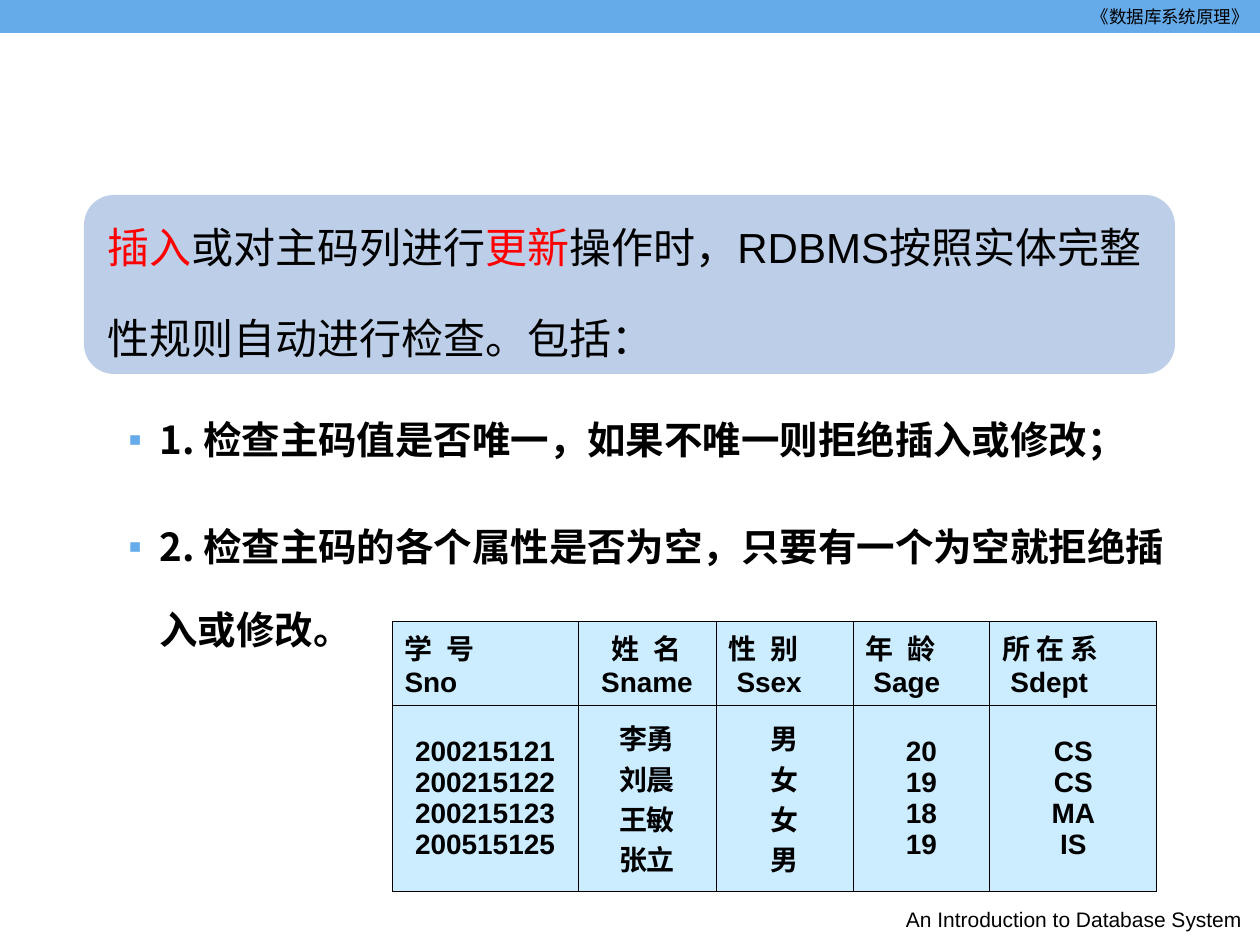
from lxml import etree
from pptx import Presentation
from pptx.dml.color import RGBColor
from pptx.enum.shapes import MSO_SHAPE
from pptx.enum.text import MSO_ANCHOR, PP_ALIGN
from pptx.oxml.ns import qn
from pptx.util import Emu, Pt

RECT, ROUNDED = MSO_SHAPE.RECTANGLE, MSO_SHAPE.ROUNDED_RECTANGLE
LEFT, CENTER, RIGHT = PP_ALIGN.LEFT, PP_ALIGN.CENTER, PP_ALIGN.RIGHT
MIDDLE = MSO_ANCHOR.MIDDLE

PX_PER_INCH = 126
LATIN, CJK = "Arial", "Noto Sans CJK SC"
COLORS = {"bar": "65AAE9", "panel": "7DA0D3", "cell": "CCECFF",
          "text": "000000", "accent": "FF0000"}

RULE = [("插入", "accent"), ("或对主码列进行", "text"), ("更新", "accent"),
        ("操作时，RDBMS按照实体完整性规则自动进行检查。包括：", "text")]
CHECKS = ["1. 检查主码值是否唯一，如果不唯一则拒绝插入或修改；",
          "2. 检查主码的各个属性是否为空，只要有一个为空就拒绝插入或修改。"]
# Chinese name, field name, width, heading alignment, field indent, tracking, values
COLUMNS = [
    ("学 号", "Sno", 186, LEFT, 0, 220,
     ["200215121", "200215122", "200215123", "200515125"]),
    ("姓 名", "Sname", 138, CENTER, 0, 220, ["李勇", "刘晨", "王敏", "张立"]),
    ("性 别", "Ssex", 137, LEFT, 8, 220, ["男", "女", "女", "男"]),
    ("年 龄", "Sage", 137, LEFT, 8, 220, ["20", "19", "18", "19"]),
    ("所 在 系", "Sdept", 167, LEFT, 8, 0, ["CS", "CS", "MA", "IS"]),
]
ROW_HEIGHTS = (84, 186)


def emu(px):
    return Emu(round(px * 914400 / PX_PER_INCH))


def rgb(name):
    return RGBColor.from_string(COLORS[name])


def add_xml(parent, tag, **attributes):
    child = etree.SubElement(parent, qn(tag))
    for key, value in attributes.items():
        child.set(key, str(value))
    return child


class SlideBuilder:
    def __init__(self, slide):
        self.slide = slide

    def style_run(self, run, size, color="text", bold=False, font=LATIN):
        run.font.size = Pt(size)
        run.font.bold = bold
        run.font.color.rgb = rgb(color)
        run.font.name = font
        add_xml(run.font._element, "a:ea", typeface=CJK)

    def panel(self, kind, left, top, width, height, color, opacity=100):
        shape = self.slide.shapes.add_shape(
            kind, emu(left), emu(top), emu(width), emu(height))
        shape.shadow.inherit = False
        shape.fill.solid()
        shape.fill.fore_color.rgb = rgb(color)
        shape.line.fill.background()
        if opacity < 100:
            tint = shape.fill._xPr.find(qn("a:solidFill"))[0]
            add_xml(tint, "a:alpha", val=opacity * 1000)

    def text_frame(self, left, top, width, height):
        box = self.slide.shapes.add_textbox(
            emu(left), emu(top), emu(width), emu(height))
        box.text_frame.word_wrap = True
        return box.text_frame

    def paragraph(self, left, top, width, height, parts, size,
                  align=LEFT, spacing=1.0):
        """Add a one-paragraph box from (text, colour) parts."""
        line = self.text_frame(left, top, width, height).paragraphs[0]
        line.alignment = align
        line.line_spacing = spacing
        for text, color in parts:
            run = line.add_run()
            run.text = text
            self.style_run(run, size, color)

    def bullets(self, left, top, width, height, items):
        frame = self.text_frame(left, top, width, height)
        frame.text = "\n".join(items)
        for index, item in enumerate(frame.paragraphs):
            item.line_spacing = 1.8
            if index:
                item.space_before = Pt(13.8)
            props = item._p.get_or_add_pPr()
            props.set("marL", str(emu(63)))
            props.set("indent", str(-emu(31)))
            add_xml(add_xml(props, "a:buClr"), "a:srgbClr", val=COLORS["bar"])
            add_xml(props, "a:buFont", typeface=LATIN)
            add_xml(props, "a:buChar", char="▪")
            self.style_run(item.runs[0], 22, bold=True, font=CJK)

    def cell(self, cell, lines, align):
        props = cell._tc.get_or_add_tcPr()
        for side in ("a:lnL", "a:lnR", "a:lnT", "a:lnB"):
            border = add_xml(props, side, w=Pt(0.45))
            add_xml(add_xml(border, "a:solidFill"), "a:srgbClr",
                    val=COLORS["text"])
        cell.fill.solid()
        cell.fill.fore_color.rgb = rgb("cell")
        cell.vertical_anchor = MIDDLE
        cell.text_frame.text = "\n".join(lines)
        for line in cell.text_frame.paragraphs:
            line.alignment = align
            self.style_run(line.runs[0], 16, bold=True)

    def student_table(self, left, top, columns, heights):
        width = sum(column[2] for column in columns)
        table = self.slide.shapes.add_table(
            len(heights), len(columns), emu(left), emu(top),
            emu(width), emu(sum(heights))).table
        for row, height in zip(table.rows, heights):
            row.height = emu(height)
        for index, column in enumerate(columns):
            title, field, width, align, indent, tracking, values = column
            table.columns[index].width = emu(width)
            heading = table.cell(0, index)
            self.cell(heading, [title, field], align)
            self.cell(table.cell(1, index), values, CENTER)
            title_line, field_line = heading.text_frame.paragraphs
            title_line.runs[0].font._element.set("spc", str(tracking))
            field_line._p.get_or_add_pPr().set("marL", str(emu(indent)))


def main():
    deck = Presentation()
    deck.slide_width, deck.slide_height = emu(1260), emu(945)
    blank_layout = deck.slide_layouts[6]
    builder = SlideBuilder(deck.slides.add_slide(blank_layout))

    builder.panel(RECT, 0, 0, 1260, 33, "bar")
    builder.paragraph(819, 0, 442, 32, [("《数据库系统原理》", "text")], 10, RIGHT)
    builder.bullets(84, 373, 1101, 286, CHECKS)
    builder.panel(ROUNDED, 84, 195, 1091, 179, "panel", opacity=50)
    builder.paragraph(95, 175, 1081, 194, RULE, 24, spacing=1.8)
    builder.student_table(392, 621, COLUMNS, ROW_HEIGHTS)
    builder.paragraph(888, 900, 372, 44,
                      [("An Introduction to Database System", "text")], 12, CENTER)
    deck.save("out.pptx")


if __name__ == "__main__":
    main()
